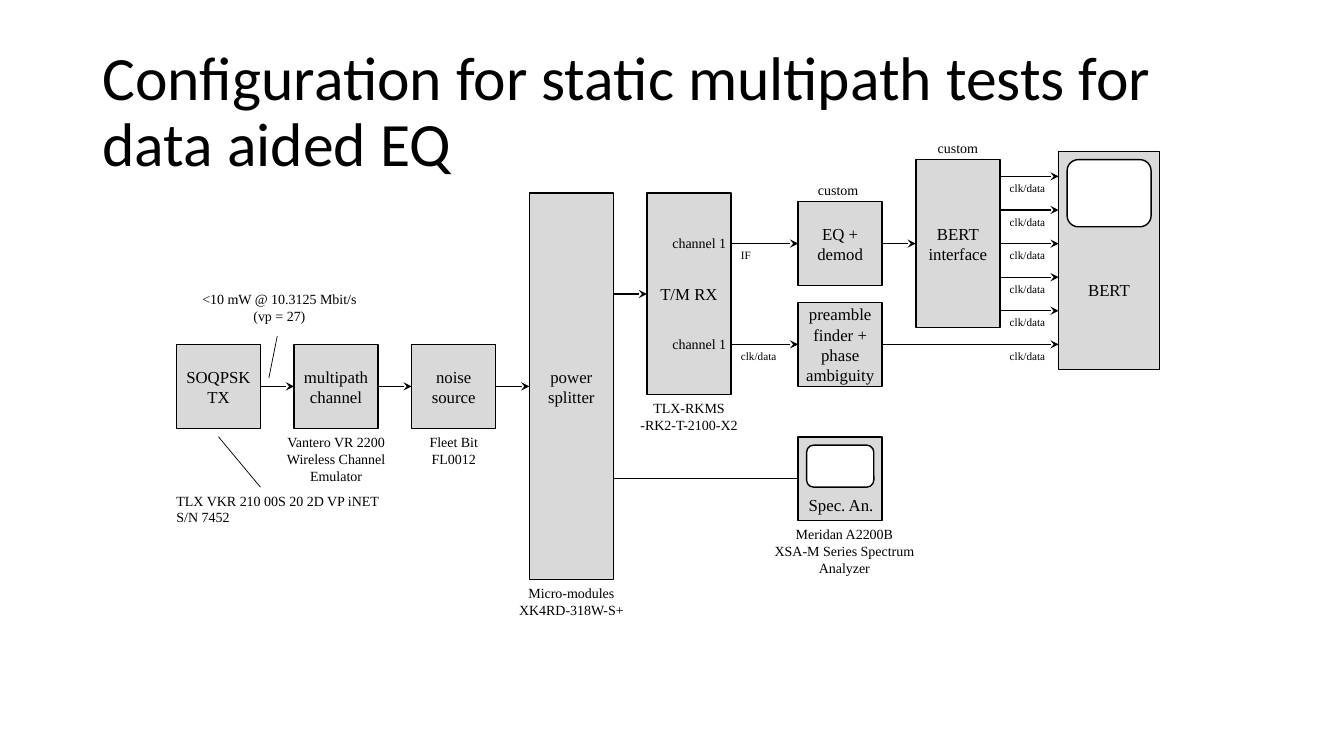
from lxml import etree
from pptx import Presentation
from pptx.dml.color import RGBColor
from pptx.enum import shapes, text
from pptx.oxml import ns
from pptx.util import Inches, Pt

TITLE = "Configuration for static multipath tests for data aided EQ"
SERIF = "Times New Roman"
GRID = 12  # grid steps per inch; places below are in grid steps

# Blocks: label, left, top, width, height
BLOCKS = [
    ("SOQPSK\nTX", 21, 41, 10, 10),
    ("multipath\nchannel", 35, 41, 10, 10),
    ("noise\nsource", 49, 41, 10, 10),
    ("power\nsplitter", 63, 23, 10, 46),
    ("T/M RX", 77, 23, 10, 24),
    ("EQ +\ndemod", 95, 24, 10, 10),
    ("preamble finder + phase ambiguity", 95, 36, 10, 10),
    ("BERT\ninterface", 109, 19, 10, 20),
    ("BERT", 126, 18, 12, 26),
    ("", 95, 52, 10, 10),
]
SCREENS = [(127, 19, 10, 8), (96, 53, 8, 5)]

# Arrows: from x, to x, y
ARROWS = [
    (31, 35, 46), (45, 49, 46), (59, 63, 46), (73, 77, 35), (73, 96, 57),
    (87, 95, 29), (87, 95, 41), (105, 109, 29), (105, 126, 41),
]
TAPS = range(21, 38, 4)
LEADERS = [(33, 40, 32, 45), (26, 52, 31, 58)]

# Notes under and over the blocks: text, left, top, width, height, align
NOTES = [
    ("Fleet Bit\nFL0012", 49, 51, 10, 5.4, "c"),
    ("custom", 95, 21, 9.5, 3.3, "c"),
    ("custom", 109, 16, 10, 3.3, "c"),
    ("<10 mW @ 10.3125 Mbit/s\n(vp = 27)", 22, 34, 22.5, 5.3, "c"),
    ("Micro-modules\nXK4RD-318W-S+", 61, 69, 14, 5.3, "c"),
    ("Meridan A2200B\nXSA-M Series Spectrum Analyzer", 89, 62, 23, 5.3, "c"),
    ("TLX VKR 210 00S 20 2D VP iNET\nS/N 7452", 21, 58, 26, 5.3, "l"),
    ("TLX-RKMS\n-RK2-T-2100-X2", 74, 47, 16, 5.3, "c"),
    ("Vantero VR 2200\nWireless Channel Emulator", 33, 51, 14, 7.3, "c"),
]
PORTS = [("channel 1", 78.84, 27.36), ("channel 1", 78.84, 39.36)]
SIGNALS = [("IF", 87, 29), ("clk/data", 87, 41)]
SIGNALS += [("clk/data", 119, y) for y in (*TAPS, 41)]

ALIGN = {"c": text.PP_ALIGN.CENTER, "l": text.PP_ALIGN.LEFT}

deck = Presentation()
deck.slide_width, deck.slide_height = Inches(13.33), Inches(7.5)
slide = deck.slides.add_slide(deck.slide_layouts[6])
items = slide.shapes


def rgb(code):
    return RGBColor.from_string(code)


def steps(*vals):
    return [Inches(v / GRID) for v in vals]


def write(frame, words, size, align="l", font=SERIF):
    frame.text = words
    for para in frame.paragraphs:
        para.alignment = ALIGN[align]
        for run in para.runs:
            run.font.size = Pt(size)
            run.font.name = font
            run.font.color.rgb = rgb("000000")


def panel(kind, place, fill):
    shape = items.add_shape(kind, *steps(*place))
    shape.shadow.inherit = False
    shape.fill.solid()
    shape.fill.fore_color.rgb = rgb(fill)
    shape.line.color.rgb = rgb("000000")
    shape.line.width = Pt(1)
    return shape


def line(x1, y1, x2, y2, width, head=False):
    wire = items.add_connector(shapes.MSO_CONNECTOR.STRAIGHT,
                               *steps(x1, y1, x2, y2))
    wire.line.color.rgb = rgb("000000")
    wire.line.width = Pt(width)
    if head:
        tip = etree.SubElement(wire.line._get_or_add_ln(), ns.qn("a:tailEnd"))
        tip.set("type", "stealth")
    etree.SubElement(wire._element.spPr, ns.qn("a:effectLst"))


def label(words, place, size, align="l", wrap=False, side=0.1):
    frame = items.add_textbox(*steps(*place)).text_frame
    frame.word_wrap = wrap
    frame.auto_size = text.MSO_AUTO_SIZE.SHAPE_TO_FIT_TEXT
    frame.margin_left = frame.margin_right = Inches(side)
    write(frame, words, size, align)


# Title
head = items.add_textbox(Inches(0.92), Inches(0.4), Inches(11.5), Inches(1.45))
head.text_frame.word_wrap = True
head.text_frame.vertical_anchor = text.MSO_ANCHOR.MIDDLE
write(head.text_frame, TITLE, 44, font="Calibri")
head.text_frame.paragraphs[0].line_spacing = 0.9

# Wires
for x1, x2, y in ARROWS + [(119, 126, y) for y in TAPS]:
    line(x1, y, x2, y, 1, head=True)
for ends in LEADERS:
    line(*ends, 0.5)

# Blocks and screens
for words, *place in BLOCKS:
    frame = panel(shapes.MSO_SHAPE.RECTANGLE, place, "D9D9D9").text_frame
    frame.word_wrap = True
    frame.vertical_anchor = text.MSO_ANCHOR.MIDDLE
    frame.margin_left = frame.margin_right = 0
    if words == "BERT":
        frame.margin_top = Inches(0.63)  # keeps the label below the screen
    write(frame, words, 12, "c")
for place in SCREENS:
    panel(shapes.MSO_SHAPE.ROUNDED_RECTANGLE, place, "FFFFFF")

# Labels
label("Spec. An.", (95, 58.3, 10.2, 3.6), 12, "c")
for words, *place, align in NOTES:
    label(words, place, 10, align, wrap=True, side=0)
for words, x, y in PORTS:
    label(words, (x, y, 9, 3.2), 10)
for words, x, y in SIGNALS:
    label(words, (x, y, 3.6 if words == "IF" else 6.7, 2.9), 8)

deck.save("out.pptx")
